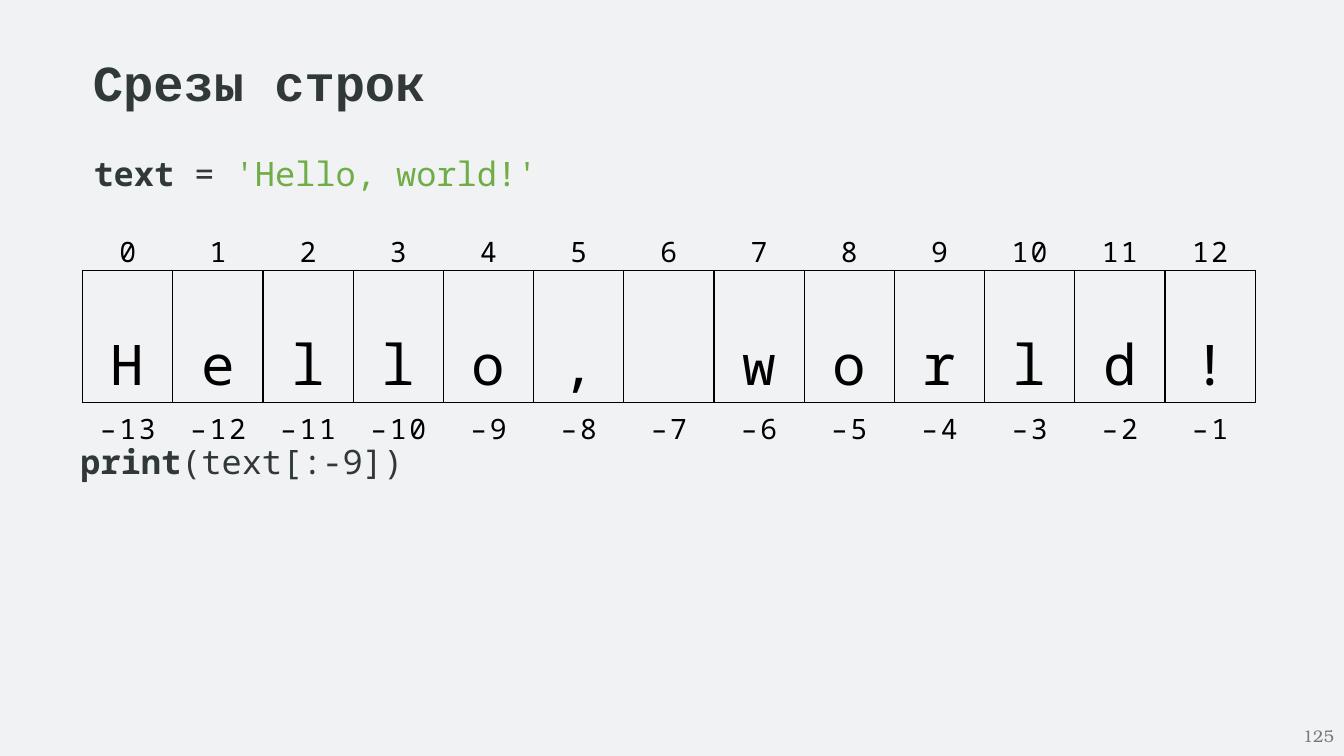
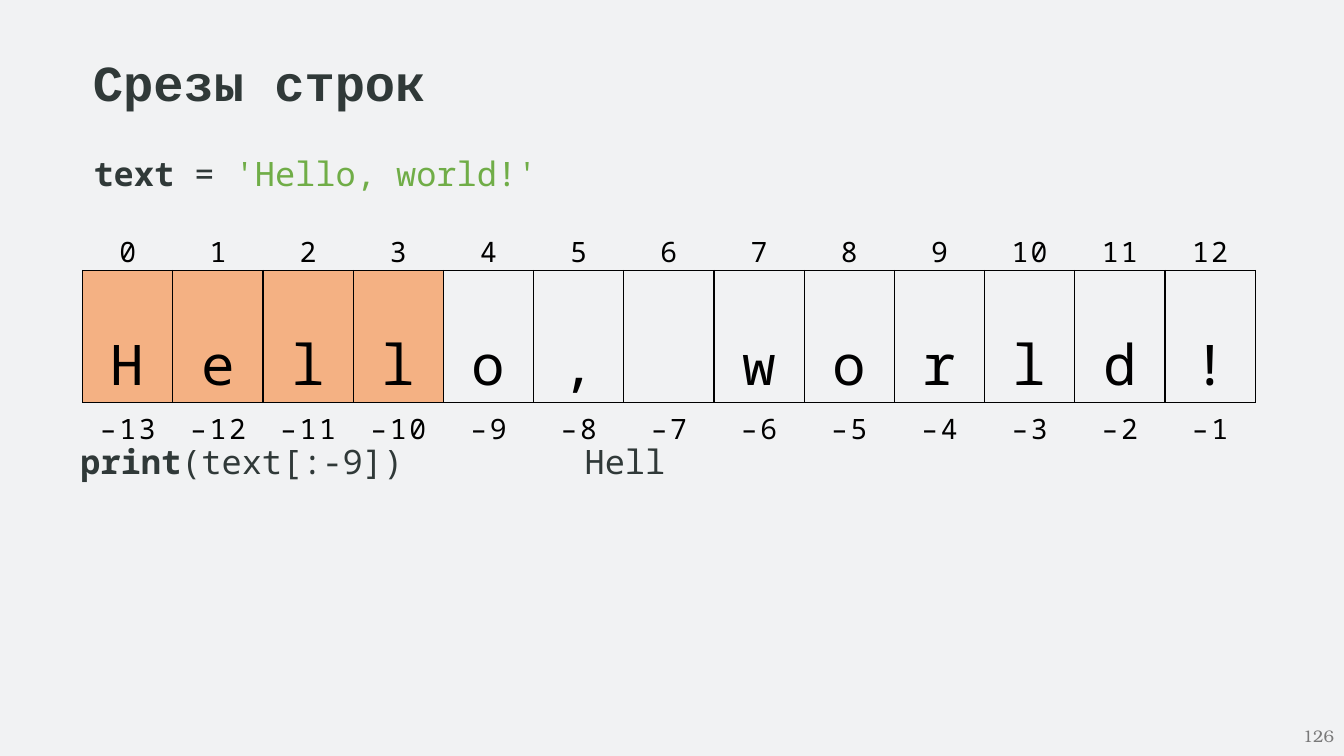
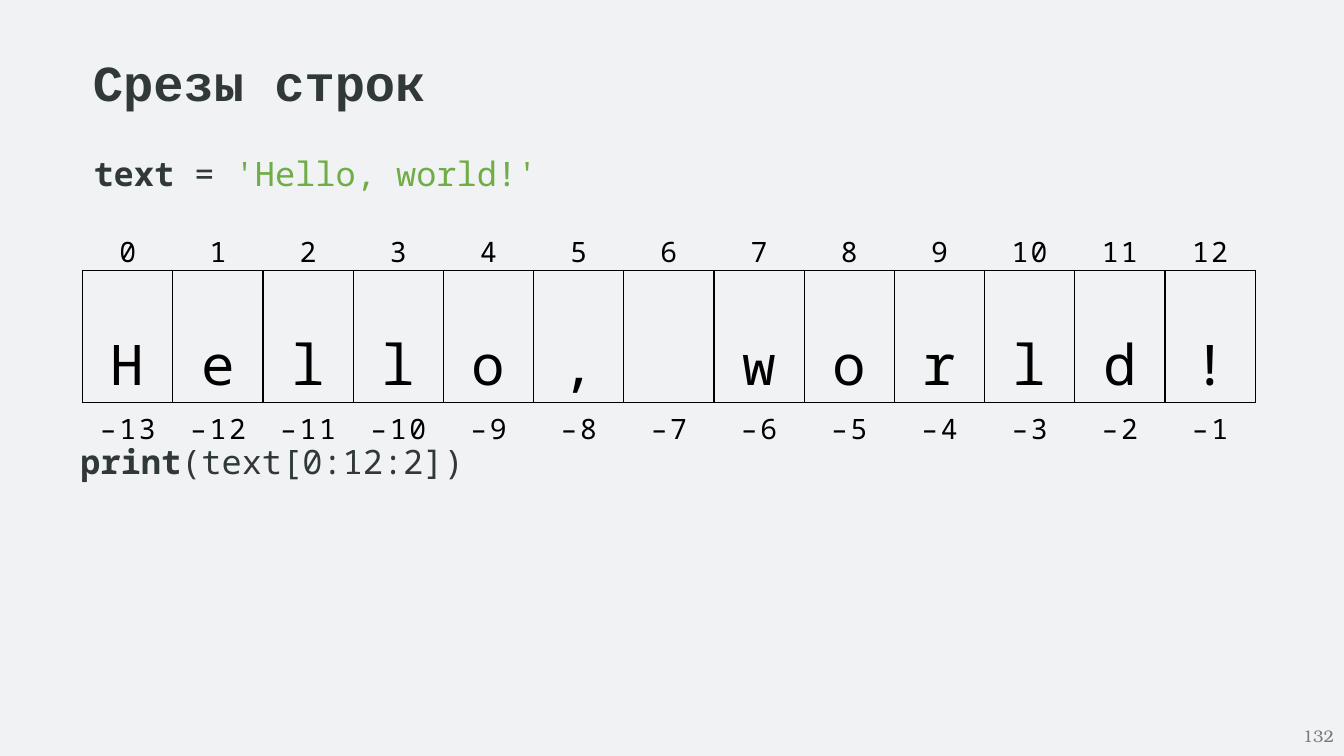
from lxml.etree import SubElement
from pptx import Presentation
from pptx.dml.color import RGBColor
from pptx.enum.text import MSO_ANCHOR, MSO_AUTO_SIZE, PP_ALIGN
from pptx.oxml.ns import qn
from pptx.util import Inches, Pt

BACKGROUND = RGBColor(0xF1, 0xF2, 0xF3)
DARK = RGBColor(0x30, 0x39, 0x38)
GREEN = RGBColor(0x70, 0xAD, 0x47)
ORANGE = RGBColor(0xF4, 0xB1, 0x83)
GRAY = RGBColor(0x79, 0x79, 0x79)
BLACK = RGBColor(0, 0, 0)

TITLE_FONT = "Courier New"
CODE_FONT = "Noto Sans Mono"
NUMBER_FONT = "TeX Gyre Bonum"

TITLE = "Срезы строк"
TEXT = "Hello, world!"
NO_TABLE_STYLE = "{2D5ABB26-0587-4C30-8999-92F81FD0307C}"


def add_run(p, text, font=CODE_FONT, size=24, color=DARK, bold=False, spacing=0):
    r = p.add_run()
    r.text = text
    r.font.name = font
    r.font.size = Pt(size)
    r.font.bold = bold
    r.font.color.rgb = color
    if spacing:
        r.font._element.set("spc", str(round(spacing * 100)))
    return r


def add_title(s):
    sp = s.shapes.title
    sp.left, sp.top = Inches(0.82), Inches(0.46)
    sp.width, sp.height = Inches(3.54), Inches(0.71)
    tf = sp.text_frame
    tf.word_wrap = False
    tf.auto_size = MSO_AUTO_SIZE.SHAPE_TO_FIT_TEXT
    tf.vertical_anchor = MSO_ANCHOR.TOP
    p = tf.paragraphs[0]
    p.alignment = PP_ALIGN.LEFT
    add_run(p, TITLE, font=TITLE_FONT, size=36, bold=True)


def add_text_box(s, left, top, width, height, align):
    """Add an empty wrapping text box and return its frame."""
    box = s.shapes.add_textbox(Inches(left), Inches(top), Inches(width), Inches(height))
    tf = box.text_frame
    tf.word_wrap = True
    tf.paragraphs[0].alignment = align
    return tf


def add_code_line(s, left, top, height, runs, tab=None):
    """Add one line of code; runs are (text, format) pairs, tab is a stop in inches."""
    p = add_text_box(s, left, top, 11.94, height, PP_ALIGN.JUSTIFY).paragraphs[0]
    pPr = p._p.get_or_add_pPr()
    pPr.set("marL", str(Inches(0.01)))
    if tab:
        tabs = SubElement(pPr, qn("a:tabLst"))
        SubElement(tabs, qn("a:tab"), pos=str(Inches(tab)), algn="l")
    for text, style in runs:
        add_run(p, text, **style)


def set_borders(cell, sides):
    tcPr = cell._tc.get_or_add_tcPr()
    for side in sides:
        ln = SubElement(tcPr, qn(f"a:ln{side}"), w=str(Pt(1)))
        fill = SubElement(ln, qn("a:solidFill"))
        SubElement(fill, qn("a:srgbClr"), val=str(BLACK))


def fill_cell(cell, text, borders, size=20, line=None, top=0, fill=None, spacing=0):
    cell.margin_left = cell.margin_right = cell.margin_bottom = 0
    cell.margin_top = Inches(top)
    set_borders(cell, borders)
    if fill:
        cell.fill.solid()
        cell.fill.fore_color.rgb = fill
    else:
        cell.fill.background()
    p = cell.text_frame.paragraphs[0]
    p.alignment = PP_ALIGN.CENTER
    if line:
        p.line_spacing = Pt(line)
    if text:
        add_run(p, text, size=size, color=BLACK, spacing=spacing)


def add_index_table(s, selected):
    """Show each character between its two indexes, with the selected indexes filled."""
    count = len(TEXT)
    frame = s.shapes.add_table(3, count, Inches(0.82), Inches(2.21),
                               Inches(11.63), Inches(1.82))
    frame._element.find(".//" + qn("a:tableStyleId")).text = NO_TABLE_STYLE
    table = frame.table
    table.first_row = table.horz_banding = False
    for row, height in zip(table.rows, (0.42, 1.02, 0.38)):
        row.height = Inches(height)
    for i, char in enumerate(TEXT):
        fill_cell(table.cell(0, i), str(i), "B", line=34.1,
                  spacing=1.6 if i > 9 else 0)
        fill_cell(table.cell(1, i), char.strip(), "LRTB", size=40, line=94,
                  fill=ORANGE if i in selected else None)
        fill_cell(table.cell(2, i), f"–{count - i}", "T", top=0.07, spacing=1.9)


def add_slide_number(s, number):
    tf = add_text_box(s, 10.33, 7.1, 3, 0.4, PP_ALIGN.RIGHT)
    tf.vertical_anchor = MSO_ANCHOR.MIDDLE
    add_run(tf.paragraphs[0], str(number), font=NUMBER_FONT, size=12, color=GRAY)


def add_slice_slide(prs, number, call, result="", selected=()):
    s = prs.slides.add_slide(prs.slide_layouts.get_by_name("Title Only"))
    add_title(s)
    add_code_line(s, 0.82, 1.47, 0.5, [
        ("text ", {"bold": True}),
        ("= ", {}),
        (f"'{TEXT}'", {"color": GREEN}),
    ])
    output = f"\t{result}" if result else ""
    add_code_line(s, 0.69, 4.32, 0.92, [
        ("print", {"bold": True}),
        (call + output, {}),
    ], tab=5 if result else None)
    add_index_table(s, selected)
    add_slide_number(s, number)


def main():
    prs = Presentation()
    prs.slide_width, prs.slide_height = Inches(13.33), Inches(7.5)
    background = prs.slide_master.background.fill
    background.solid()
    background.fore_color.rgb = BACKGROUND

    add_slice_slide(prs, 125, "(text[:-9])")
    add_slice_slide(prs, 126, "(text[:-9])", result=TEXT[:-9],
                    selected=range(len(TEXT))[:-9])
    add_slice_slide(prs, 132, "(text[0:12:2])")
    prs.save("out.pptx")


if __name__ == "__main__":
    main()
